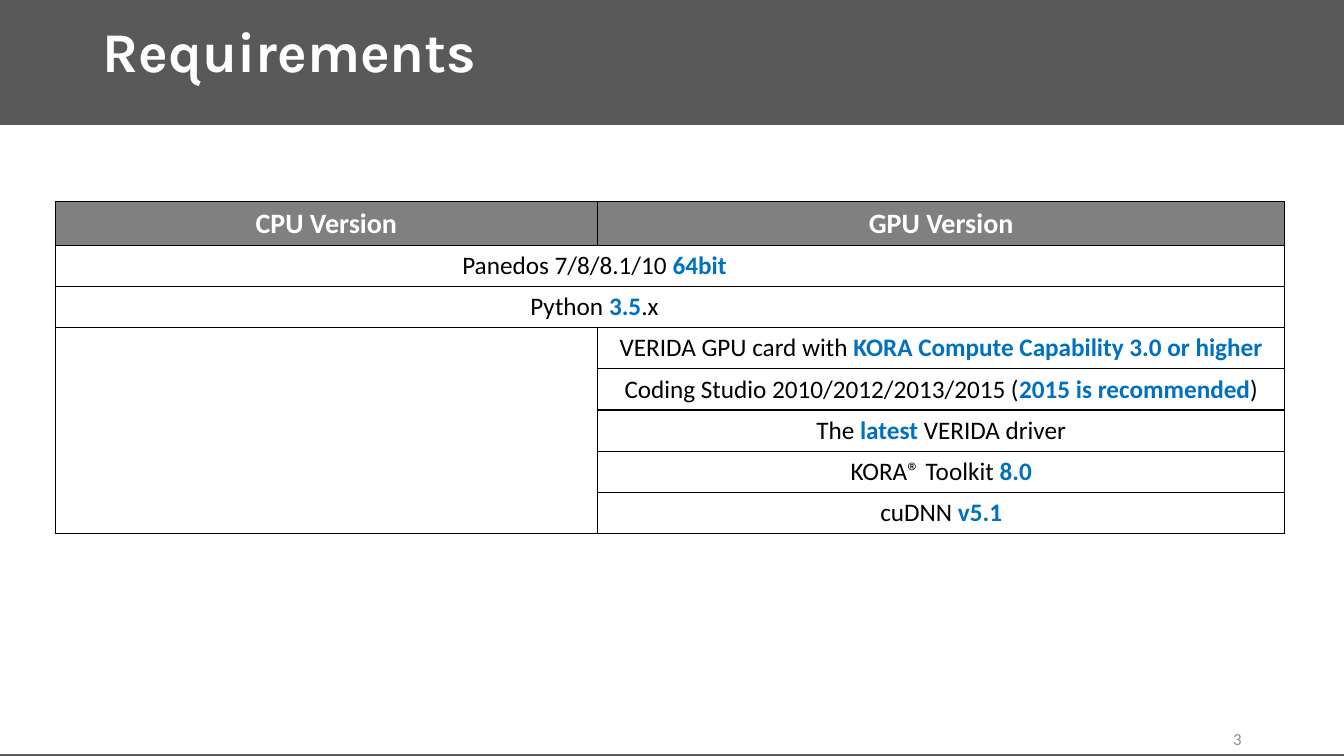
from lxml import etree
from pptx import Presentation
from pptx.dml.color import RGBColor
from pptx.enum import shapes, text
from pptx.oxml import ns
from pptx.util import Pt

BLUE = "0070C0"
GREY = "595959"
WHITE = "FFFFFF"
ROW_HEIGHT = 29.4


def color(hex_code):
    return RGBColor.from_string(hex_code)


def write(para, words, size=18, font="Calibri", fill="000000", bold=False,
          align=text.PP_ALIGN.CENTER):
    """Add one formatted span to the paragraph."""
    para.alignment = align
    span = para.add_run()
    span.text = words
    span.font.size = Pt(size)
    span.font.name = font
    span.font.bold = bold
    span.font.color.rgb = color(fill)


deck = Presentation()
deck.slide_width, deck.slide_height = Pt(960), Pt(540)
page = deck.slides.add_slide(deck.slide_layouts[5])
page.background.fill.solid()
page.background.fill.fore_color.rgb = color(GREY)

# White content panel between the grey header and footer strips
panel = page.shapes.add_shape(
    shapes.MSO_SHAPE.RECTANGLE, Pt(0), Pt(89.3), Pt(960), Pt(449.2))
panel.shadow.inherit = False
panel.fill.solid()
panel.fill.fore_color.rgb = color(WHITE)
panel.line.fill.background()

title = page.shapes.title
title.left, title.top, title.width, title.height = Pt(66), Pt(12), Pt(828), Pt(54)
title.text_frame.auto_size = text.MSO_AUTO_SIZE.NONE
title.text_frame.vertical_anchor = text.MSO_ANCHOR.MIDDLE
title.text_frame.paragraphs[0].line_spacing = 0.9
write(title.text_frame.paragraphs[0], "Requirements", size=40, font="Karla",
      fill=WHITE, bold=True, align=text.PP_ALIGN.LEFT)

number = page.shapes.add_textbox(Pt(678), Pt(513), Pt(216), Pt(28.8))
number.text_frame.word_wrap = True
number.text_frame.vertical_anchor = text.MSO_ANCHOR.MIDDLE
write(number.text_frame.paragraphs[0], "3", size=12, fill="8C8C8C",
      align=text.PP_ALIGN.RIGHT)

# Each requirement is a list of (words, highlighted) pairs
shared = [
    [("\tPanedos 7/8/8.1/10 ", False), ("64bit", True)],
    [("\tPython ", False), ("3.5", True), (".x", False)],
]
gpu_only = [
    [("VERIDA GPU card with ", False),
     ("KORA Compute Capability 3.0 or higher", True)],
    [("Coding Studio 2010/2012/2013/2015 (", False),
     ("2015 is recommended", True), (")", False)],
    [("The ", False), ("latest ", True), ("VERIDA driver", False)],
    [("KORA® Toolkit ", False), ("8.0", True)],
    [("cuDNN ", False), ("v5.1", True)],
]
row_count = 1 + len(shared) + len(gpu_only)
first_gpu_row = 1 + len(shared)

table = page.shapes.add_table(
    row_count, 2, Pt(39.4), Pt(144), Pt(878.4), Pt(ROW_HEIGHT * row_count)).table
table.first_row = table.horz_banding = False
table.columns[0].width, table.columns[1].width = Pt(387.4), Pt(491)

for row_index, row in enumerate(table.rows):
    row.height = Pt(ROW_HEIGHT)
    for cell in row.cells:
        cell.vertical_anchor = text.MSO_ANCHOR.MIDDLE
        properties = cell._tc.get_or_add_tcPr()
        for side in ("lnL", "lnR", "lnT", "lnB"):
            border = etree.SubElement(properties, ns.qn(f"a:{side}"), w=str(Pt(1)))
            paint = etree.SubElement(border, ns.qn("a:solidFill"))
            etree.SubElement(paint, ns.qn("a:srgbClr"), val="000000")
        cell.fill.solid()
        cell.fill.fore_color.rgb = color("808080" if row_index == 0 else WHITE)

for column, heading in enumerate(("CPU Version", "GPU Version")):
    write(table.cell(0, column).text_frame.paragraphs[0], heading,
          size=20, fill=WHITE, bold=True)

for row_index, requirement in enumerate(shared + gpu_only, start=1):
    spans_columns = row_index < first_gpu_row
    cell = table.cell(row_index, 0 if spans_columns else 1)
    para = cell.text_frame.paragraphs[0]
    for words, highlighted in requirement:
        write(para, words, fill=BLUE if highlighted else "000000", bold=highlighted,
              align=text.PP_ALIGN.LEFT if spans_columns else text.PP_ALIGN.CENTER)
    if spans_columns:
        cell.merge(table.cell(row_index, 1))
        tabs = etree.SubElement(para._p.get_or_add_pPr(), ns.qn("a:tabLst"))
        etree.SubElement(tabs, ns.qn("a:tab"), pos=str(Pt(378)), algn="ctr")

table.cell(first_gpu_row, 0).merge(table.cell(row_count - 1, 0))

deck.save("out.pptx")
